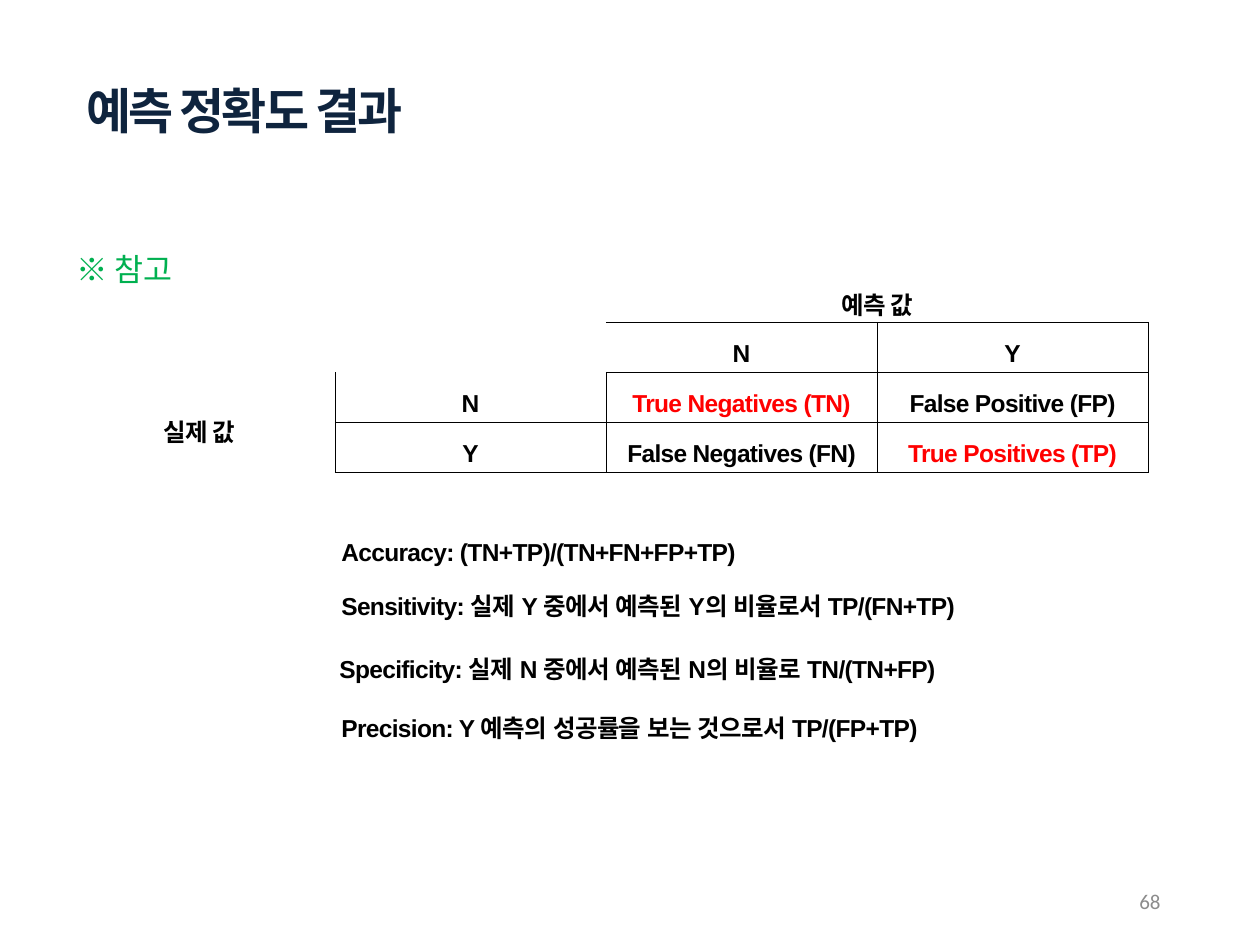
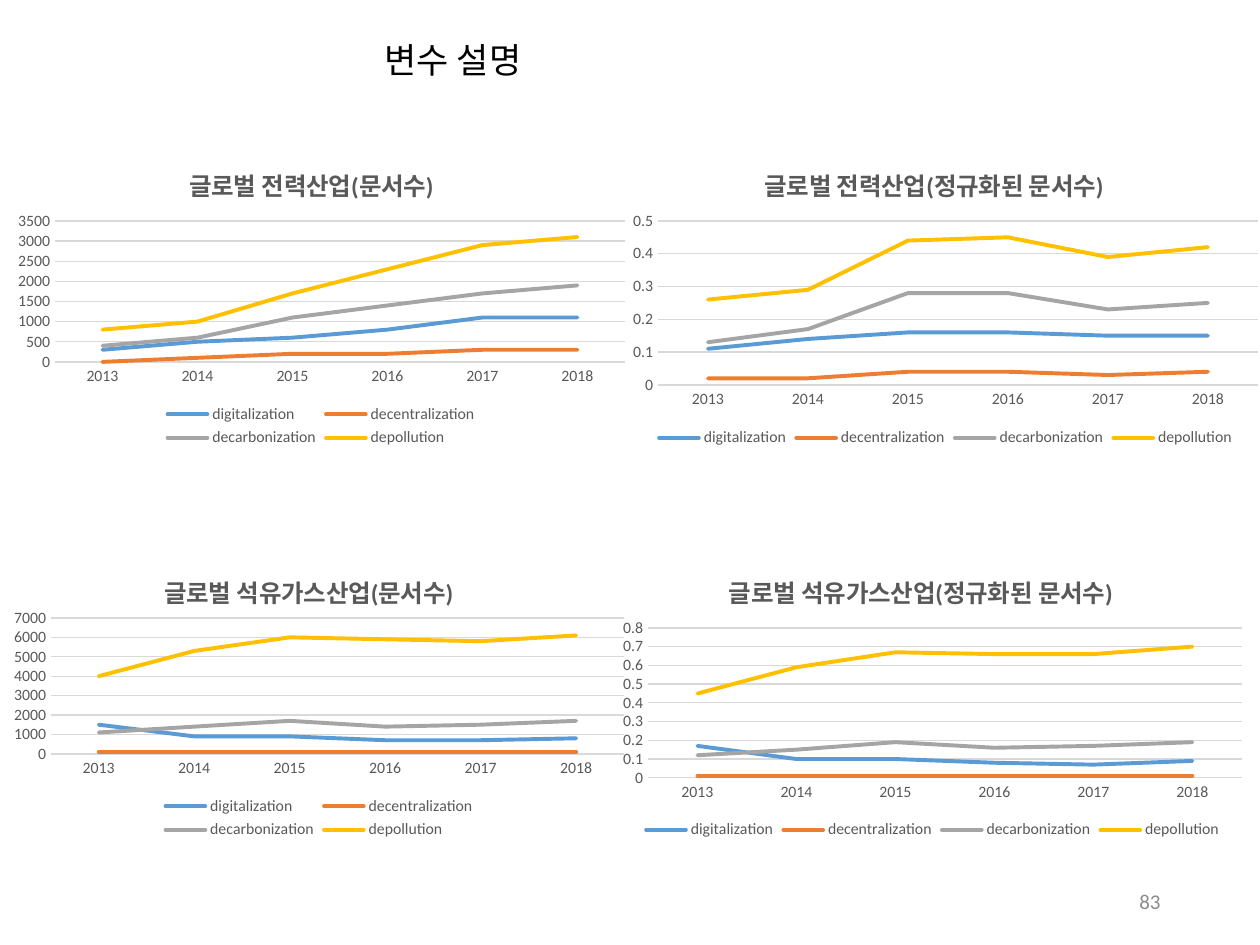
from dataclasses import dataclass
from lxml.etree import SubElement
from pptx import Presentation
from pptx.chart.data import CategoryChartData as Data
from pptx.dml.color import RGBColor as RGB
from pptx.enum.chart import XL_CHART_TYPE as Kind, XL_LEGEND_POSITION as Spot
from pptx.enum.chart import XL_TICK_MARK as Tick
from pptx.enum.text import MSO_ANCHOR as Anchor, MSO_AUTO_SIZE as Fit, PP_ALIGN as Align
from pptx.oxml.ns import qn
from pptx.util import Pt


@dataclass
class Theme:
    navy: str = "0F243E"
    green: str = "00B050"
    red: str = "FF0000"
    black: str = "000000"
    gray: str = "595959"
    pale: str = "8C8C8C"
    grid: str = "D9D9D9"
    lines: tuple = ("5B9BD5", "ED7D31", "A5A5A5", "FFC000")
    sans: str = "Calibri"
    bold: str = "Arial"
    asian: str = "Noto Sans CJK KR"
    big: int = 28
    head: int = 20
    note: int = 18
    body: int = 14
    page: int = 12
    tick: int = 9


T = Theme()
PX = 914400 / 126


def write(frame, text, size, face, color, bold=False, tight=0, align=Align.LEFT, asian=None):
    """Fill a text frame with one paragraph and format it."""
    par = frame.paragraphs[0]
    par.text = text
    par.alignment = align
    font = par.font
    font.size, font.name, font.bold = Pt(size), face, bold
    font.color.rgb = RGB.from_string(color)
    props = par._p.pPr.find(qn("a:defRPr"))
    if tight:
        props.set("spc", str(tight))
    SubElement(props, qn("a:ea")).set("typeface", asian or face)
    return par


def place(node, index, **spots):
    """Give a chart part a fixed place, as fractions of the chart."""
    old = node.find(qn("c:layout"))
    if old is not None:
        node.remove(old)
    lay = SubElement(node, qn("c:layout"))
    node.insert(index, lay)
    man = SubElement(lay, qn("c:manualLayout"))
    if "w" in spots:
        SubElement(man, qn("c:layoutTarget")).set("val", "inner")
    for key in "xy":
        SubElement(man, qn(f"c:{key}Mode")).set("val", "edge")
    for key, val in spots.items():
        SubElement(man, qn(f"c:{key}")).set("val", f"{val:.4f}")


deck = Presentation()
deck.slide_width, deck.slide_height = int(1260 * PX), int(945 * PX)

# Titles and page numbers
heads = [
    ("예측 정확도 결과", (74, 74, 1058, 72), T.big, T.sans, T.navy, True, -150, Anchor.TOP, "68"),
    ("변수 설명", (372, 32, 863, 54), T.head, T.asian, T.black, False, 0, Anchor.MIDDLE, "83"),
]
pages = []
for text, area, size, face, color, bold, tight, anchor, num in heads:
    slide = deck.slides.add_slide(deck.slide_layouts[5])
    pages.append(slide)
    title = slide.shapes.title
    title.left, title.top, title.width, title.height = [int(v * PX) for v in area]
    frame = title.text_frame
    frame.auto_size, frame.vertical_anchor = Fit.NONE, anchor
    write(frame, text, size, face, color, bold, tight)
    frame = slide.shapes.add_textbox(*[int(v * PX) for v in (890, 876, 283, 50)]).text_frame
    frame.word_wrap, frame.vertical_anchor = True, Anchor.MIDDLE
    write(frame, num, T.page, T.sans, T.pale, align=Align.RIGHT)
result, trend = pages

# Confusion table: row, column, text, colour, drawn edges
cells = [
    (0, 2, "예측 값", T.black, "B"),
    (1, 2, "N", T.black, "TRB"),
    (1, 3, "Y", T.black, "LTRB"),
    (2, 0, "실제 값", T.black, "R"),
    (2, 1, "N", T.black, "LRB"),
    (2, 2, "True Negatives (TN)", T.red, "LTRB"),
    (2, 3, "False Positive (FP)", T.black, "LTRB"),
    (3, 1, "Y", T.black, "LTRB"),
    (3, 2, "False Negatives (FN)", T.black, "LTRB"),
    (3, 3, "True Positives (TP)", T.red, "LTRB"),
]
edges = {(row, col): drawn for row, col, _, _, drawn in cells}
edges[0, 3], edges[3, 0] = "B", "R"
area = [int(v * PX) for v in (64, 265, 1084, 197)]
table = result.shapes.add_table(4, 4, *area).table
table.first_row = table.horz_banding = False
style = table._tbl.tblPr.find(qn("a:tableStyleId"))
style.text = "{2D5ABB26-0587-4C30-8999-92F81FD0307C}"
for row, high in zip(table.rows, (57, 48, 46, 46)):
    row.height = int(high * PX)
for row in range(4):
    for col in range(4):
        cell = table.cell(row, col)
        cell.margin_left = cell.margin_right = int(9 * PX)
        cell.margin_top = cell.margin_bottom = int(3 * PX)
        cell.vertical_anchor = Anchor.MIDDLE
        props = cell._tc.get_or_add_tcPr()
        for side in "LRTB":
            line = SubElement(props, qn(f"a:ln{side}"))
            line.set("w", "3556")
            if side in edges.get((row, col), ""):
                fill = SubElement(line, qn("a:solidFill"))
                SubElement(fill, qn("a:srgbClr")).set("val", T.black)
            else:
                SubElement(line, qn("a:noFill"))
        cell.fill.background()
for first, last in (((0, 0), (1, 1)), ((0, 2), (0, 3)), ((2, 0), (3, 0))):
    table.cell(*first).merge(table.cell(*last))
for row, col, text, color, _ in cells:
    par = write(table.cell(row, col).text_frame, text, T.body, T.bold, color, True, -40,
                Align.CENTER, T.asian)
    par.line_spacing = 1.5

# Reference mark
frame = result.shapes.add_textbox(*[int(v * PX) for v in (64, 244, 197, 50)]).text_frame
frame.word_wrap = True
write(frame, "※ 참고", T.note, T.asian, T.green)

# Metrics: text, area, whether indented and widely spaced
metrics = [
    ("Accuracy: (TN+TP)/(TN+FN+FP+TP)", (311, 507, 447, 67), True),
    ("Sensitivity: 실제 Y 중에서 예측된 Y의 비율로서 TP/(FN+TP)", (329, 585, 690, 43), False),
    ("Specificity: 실제 N 중에서 예측된 N의 비율로 TN/(TN+FP)", (309, 624, 840, 67), True),
    ("Precision: Y 예측의 성공률을 보는 것으로서 TP/(FP+TP)", (311, 683, 840, 67), True),
]
for text, area, wide in metrics:
    frame = result.shapes.add_textbox(*[int(v * PX) for v in area]).text_frame
    frame.word_wrap = True
    par = write(frame, text, T.body, T.bold, T.black, True, -40)
    if wide:
        par.alignment, par.line_spacing = Align.JUSTIFY, 1.8
        par._p.pPr.set("indent", str(int(18 * PX)))

# Line charts: title, title width, area, plot area, axis top and step, values
years = [str(year) for year in range(2013, 2019)]
names = ("digitalization", "decentralization", "decarbonization", "depollution")
charts = [
    ("글로벌 전력산업(문서수)", 272, (5, 145, 632, 307), (55, 221, 570, 141), 3500, 500,
     [(300, 500, 600, 800, 1100, 1100), (0, 100, 200, 200, 300, 300),
      (400, 600, 1100, 1400, 1700, 1900), (800, 1000, 1700, 2300, 2900, 3100)]),
    ("글로벌 전력산업(정규화된 문서수)", 371, (620, 145, 651, 307), (658, 221, 600, 164), 0.5, 0.1,
     [(0.11, 0.14, 0.16, 0.16, 0.15, 0.15), (0.02, 0.02, 0.04, 0.04, 0.03, 0.04),
      (0.13, 0.17, 0.28, 0.28, 0.23, 0.25), (0.26, 0.29, 0.44, 0.45, 0.39, 0.42)]),
    ("글로벌 석유가스산업(문서수)", 318, (1, 552, 636, 292), (51, 618, 573, 136), 7000, 1000,
     [(1500, 900, 900, 700, 700, 800), (100,) * 6,
      (1100, 1400, 1700, 1400, 1500, 1700), (4000, 5300, 6000, 5900, 5800, 6100)]),
    ("글로벌 석유가스산업(정규화된 문서수)", 416, (610, 552, 645, 292), (648, 628, 594, 150), 0.8, 0.1,
     [(0.17, 0.1, 0.1, 0.08, 0.07, 0.09), (0.01,) * 6,
      (0.12, 0.15, 0.19, 0.16, 0.17, 0.19), (0.45, 0.59, 0.67, 0.66, 0.66, 0.7)]),
]
for text, span, area, plot, top, step, rows in charts:
    data = Data()
    data.categories = years
    for name, vals in zip(names, rows):
        data.add_series(name, vals)
    chart = trend.shapes.add_chart(Kind.LINE, *[int(v * PX) for v in area], data).chart
    left, up, wide, high = area
    chart.font.size, chart.font.name = Pt(T.tick), T.sans
    chart.font.color.rgb = RGB.from_string(T.gray)

    # Title and plot places
    chart.has_title = True
    head = chart.chart_title
    write(head.text_frame, text, T.body, T.sans, T.gray, True, align=Align.CENTER)
    head.include_in_layout = False
    place(head._element, 1, x=(1 - span / wide) / 2, y=20 / high)
    place(chart._chartSpace.chart.plotArea, 0, x=(plot[0] - left) / wide,
          y=(plot[1] - up) / high, w=plot[2] / wide, h=plot[3] / high)

    # Legend and axes
    chart.has_legend = True
    chart.legend.position = Spot.BOTTOM
    chart.legend.include_in_layout = False
    cats, vals = chart.category_axis, chart.value_axis
    for axis in (cats, vals):
        axis.major_tick_mark = axis.minor_tick_mark = Tick.NONE
    vals.minimum_scale, vals.maximum_scale, vals.major_unit = 0, top, step
    vals.tick_labels.number_format = "General"
    vals.tick_labels.number_format_is_linked = False
    vals.format.line.fill.background()
    for line in (cats.format.line, vals.major_gridlines.format.line):
        line.color.rgb, line.width = RGB.from_string(T.grid), Pt(0.75)

    # Series
    chart.plots[0].vary_by_categories = False
    for ser, color in zip(chart.plots[0].series, T.lines):
        ser.smooth = False
        ser.format.line.color.rgb = RGB.from_string(color)
        ser.format.line.width = Pt(2.25)
        ser.format.line._ln.set("cap", "rnd")

deck.save("out.pptx")
